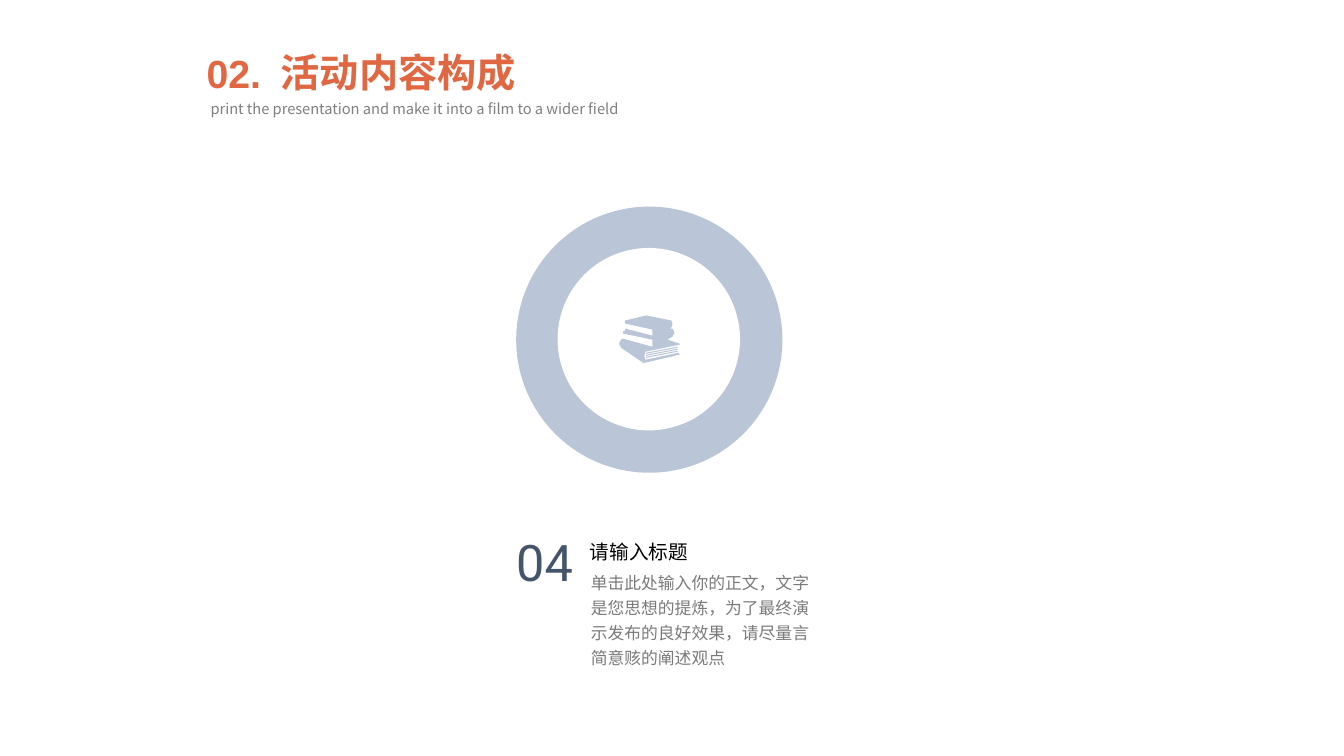
from pptx import Presentation
from pptx.dml.color import RGBColor
from pptx.enum.shapes import MSO_SHAPE
from pptx.enum.text import MSO_AUTO_SIZE, PP_ALIGN
from pptx.util import Inches, Pt

ROUND = MSO_SHAPE.ROUNDED_RECTANGLE
LEFT, CENTER = PP_ALIGN.LEFT, PP_ALIGN.CENTER
GROW, FIXED = MSO_AUTO_SIZE.SHAPE_TO_FIT_TEXT, MSO_AUTO_SIZE.NONE

ORANGE, BLUE, NAVY = "E06741", "BAC5D7", "44546A"
WHITE, BLACK = "FFFFFF", "000000"

# Stacked books, with the pages cut in from the right
BOOKS = [
    (6.74, 3.42), (6.4, 3.49), (6.39, 3.53), (6.4, 3.57), (6.73, 3.5),
    (6.74, 3.52), (6.39, 3.6), (6.38, 3.6), (6.16, 3.45), (6.14, 3.41),
    (6.16, 3.37), (6.18, 3.36), (6.47, 3.44), (6.47, 3.37), (6.18, 3.31),
    (6.18, 3.29), (6.2, 3.28), (6.2, 3.26), (6.47, 3.33), (6.47, 3.27),
    (6.2, 3.21), (6.2, 3.18), (6.41, 3.13), (6.66, 3.18), (6.67, 3.21),
    (6.66, 3.25), (6.64, 3.26), (6.67, 3.26), (6.69, 3.3), (6.67, 3.34),
    (6.62, 3.37), (6.74, 3.41),
]


def color(code):
    return RGBColor.from_string(code)


def paint(shape, fill):
    shape.shadow.inherit = False
    shape.fill.solid()
    shape.fill.fore_color.rgb = color(fill)
    shape.line.fill.background()


def add_text(slide, text, x, y, w, h, *, size, ink, font="Arial", bold=False,
             align=LEFT, space=1.0, inset=True, wrap=True, fit=FIXED):
    box = slide.shapes.add_textbox(Inches(x), Inches(y), Inches(w), Inches(h))
    frame = box.text_frame
    frame.word_wrap = wrap
    frame.auto_size = fit
    if not inset:
        frame.margin_left = frame.margin_right = 0
        frame.margin_top = frame.margin_bottom = 0
    para = frame.paragraphs[0]
    para.alignment = align
    para.line_spacing = space
    run = para.add_run()
    run.text = text
    run.font.name = font
    run.font.size = Pt(size)
    run.font.bold = bold
    run.font.color.rgb = color(ink)


def add_disc(slide, x, y, size, fill):
    disc = slide.shapes.add_shape(
        ROUND, Inches(x), Inches(y), Inches(size), Inches(size))
    disc.adjustments[0] = 0.5
    paint(disc, fill)


def add_outline(slide, loops, fill):
    # Whole-unit points, since the builder rounds its input
    loops = [[(Inches(x), Inches(y)) for x, y in loop] for loop in loops]
    pen = slide.shapes.build_freeform(*loops[0][0])
    for loop in loops:
        if loop is not loops[0]:
            pen.move_to(*loop[0])
        pen.add_line_segments(loop[1:], close=True)
    paint(pen.convert_to_shape(), fill)


def add_books(slide):
    # Page lines slope up to the right
    pages = [[(6.41, y), (6.72, y - 0.06), (6.72, y - 0.07), (6.41, y - 0.01)]
             for y in (3.55, 3.53, 3.51)]
    add_outline(slide, [BOOKS, *pages], BLUE)


def main():
    deck = Presentation()
    deck.slide_width, deck.slide_height = Inches(13.33), Inches(7.5)
    slide = deck.slides.add_slide(deck.slide_layouts[6])

    # Heading
    head = dict(size=28, ink=ORANGE, bold=True, wrap=False, fit=GROW)
    add_text(slide, "活动内容构成", 2.67, 0.43, 2.56, 0.57, align=CENTER, **head)
    add_text(slide, "02.", 1.95, 0.44, 0.75, 0.57, **head)
    add_text(slide,
             "print the presentation and make it into a film to a wider field",
             1.99, 0.92, 4.82, 0.29, size=10.5, ink="808080",
             font="Noto Sans CJK SC", space=1.14, fit=GROW)

    # Ring with icon
    add_disc(slide, 5.12, 2.05, 2.64, BLUE)
    add_disc(slide, 5.53, 2.46, 1.81, WHITE)
    add_books(slide)

    # Numbered caption
    add_text(slide, "单击此处输入你的正文，文字是您思想的提炼，"
             "为了最终演示发布的良好效果，请尽量言简意赅的阐述观点",
             5.86, 5.63, 2.32, 1.05, size=12, ink="7A7A7A", space=1.25,
             inset=False)
    add_text(slide, "请输入标题", 5.85, 5.3, 2.34, 0.31, size=14, ink=BLACK,
             space=1.25, inset=False)
    add_text(slide, "04", 5.12, 5.27, 0.72, 0.72, size=36, ink=NAVY,
             font="Roboto", inset=False)

    deck.save("out.pptx")


if __name__ == "__main__":
    main()
